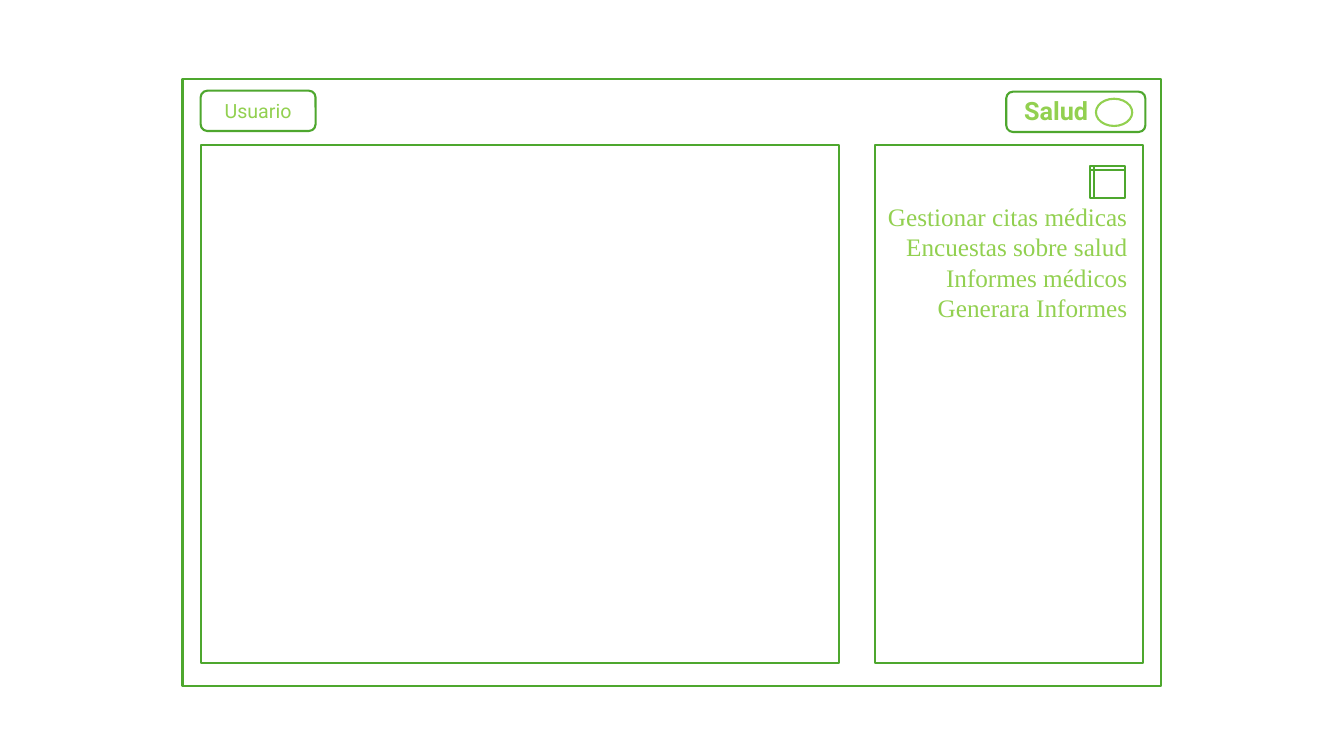
from dataclasses import dataclass

from pptx import Presentation
from pptx.dml.color import RGBColor
from pptx.enum.shapes import MSO_SHAPE
from pptx.enum.text import MSO_ANCHOR, PP_ALIGN
from pptx.util import Inches, Pt

RECT = MSO_SHAPE.RECTANGLE
ROUNDED = MSO_SHAPE.ROUNDED_RECTANGLE
OVAL = MSO_SHAPE.OVAL
STORAGE = MSO_SHAPE.FLOWCHART_INTERNAL_STORAGE
MIDDLE = MSO_ANCHOR.MIDDLE
LEFT, CENTER, RIGHT = PP_ALIGN.LEFT, PP_ALIGN.CENTER, PP_ALIGN.RIGHT


@dataclass(frozen=True)
class Theme:
    frame: RGBColor = RGBColor(0x4E, 0xA7, 0x2E)
    accent: RGBColor = RGBColor(0x92, 0xD0, 0x50)
    white: RGBColor = RGBColor(0xFF, 0xFF, 0xFF)
    ui_font: str = "Roboto"
    menu_font: str = "Times New Roman"
    large: int = 18
    small: int = 14
    line: float = 1.5


THEME = Theme()
MENU = [
    "Gestionar citas médicas",
    "Encuestas sobre salud",
    "Informes médicos",
    "Generara Informes",
]
PANEL_TOP, PANEL_HEIGHT = 1.44, 5.14
MAIN_LEFT, MENU_LEFT = 1.99, 8.68
BUTTON_HEIGHT = 0.4


def write(tf, lines, font=THEME.ui_font, size=THEME.large, bold=False, align=LEFT):
    for i, line in enumerate(lines):
        p = tf.paragraphs[0] if i == 0 else tf.add_paragraph()
        p.alignment = align
        r = p.add_run()
        r.text = line
        r.font.name = font
        r.font.size = Pt(size)
        r.font.bold = bold
        r.font.color.rgb = THEME.accent


def add_outline(slide, kind, left, top, width, height, fill=None, line=THEME.frame):
    sp = slide.shapes.add_shape(
        kind, Inches(left), Inches(top), Inches(width), Inches(height)
    )
    sp.shadow.inherit = False
    if fill is None:
        sp.fill.background()
    else:
        sp.fill.solid()
        sp.fill.fore_color.rgb = fill
    sp.line.color.rgb = line
    sp.line.width = Pt(THEME.line)
    return sp


def add_text(slide, lines, left, top, width, height, wrap=True, **fmt):
    tf = slide.shapes.add_textbox(
        Inches(left), Inches(top), Inches(width), Inches(height)
    ).text_frame
    tf.word_wrap = wrap
    write(tf, lines, **fmt)


def add_header(slide):
    user = add_outline(
        slide, ROUNDED, MAIN_LEFT, 0.9, 1.14, BUTTON_HEIGHT, fill=THEME.white
    )
    user.text_frame.vertical_anchor = MIDDLE
    write(user.text_frame, ["Usuario"], size=THEME.small, align=CENTER)

    add_outline(slide, ROUNDED, 9.98, 0.91, 1.38, BUTTON_HEIGHT)
    add_text(slide, ["Salud"], 10.06, 0.9, 0.85, BUTTON_HEIGHT, wrap=False, bold=True)
    add_outline(slide, OVAL, 10.87, 0.98, 0.36, 0.27, line=THEME.accent)


def add_menu(slide):
    add_outline(slide, RECT, MENU_LEFT, PANEL_TOP, 2.66, PANEL_HEIGHT)
    add_outline(slide, STORAGE, 10.81, 1.65, 0.35, 0.31, fill=THEME.white)
    add_text(
        slide, MENU, MENU_LEFT, 1.95, 2.6, 1.31,
        wrap=False, font=THEME.menu_font, align=RIGHT,
    )


def main():
    prs = Presentation()
    prs.slide_width = Inches(13.33)
    prs.slide_height = Inches(7.5)
    slide = prs.slides.add_slide(prs.slide_layouts[6])

    add_outline(slide, RECT, 1.81, 0.78, 9.71, 6.03)
    add_outline(slide, RECT, MAIN_LEFT, PANEL_TOP, 6.33, PANEL_HEIGHT)
    add_menu(slide)
    add_header(slide)

    prs.save("out.pptx")


if __name__ == "__main__":
    main()
